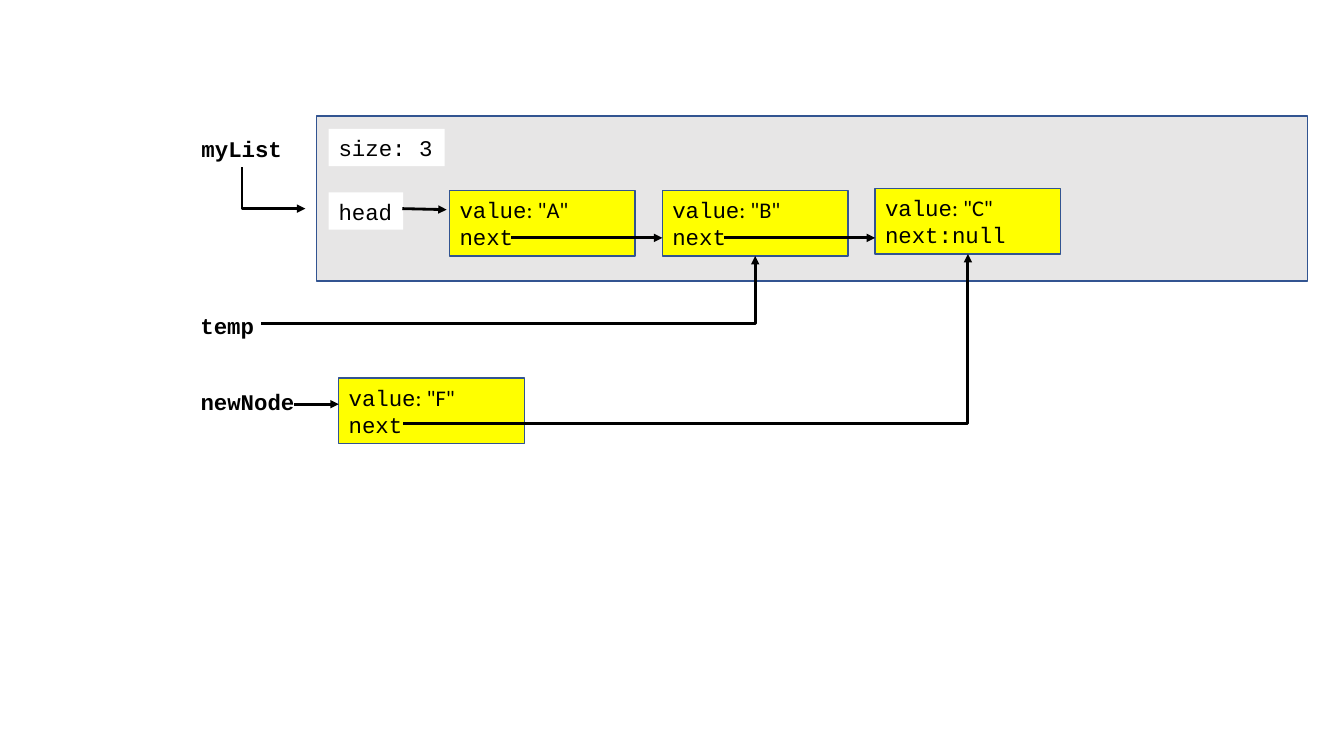
"""Linked list diagram: three chained nodes, a temp reference and a new node."""
from lxml import etree
from pptx import Presentation
from pptx.dml.color import RGBColor
from pptx.enum.shapes import MSO_CONNECTOR, MSO_SHAPE
from pptx.enum.text import MSO_ANCHOR, PP_ALIGN
from pptx.oxml.ns import qn
from pptx.util import Inches, Pt

RECT = MSO_SHAPE.RECTANGLE
STRAIGHT, ELBOW = MSO_CONNECTOR.STRAIGHT, MSO_CONNECTOR.ELBOW
MIDDLE, LEFT = MSO_ANCHOR.MIDDLE, PP_ALIGN.LEFT

COLORS = {"list": "E7E6E6", "border": "325491", "field": "FFFFFF",
          "node": "FFFF00", "ink": "000000"}
CODE_FONT, VALUE_FONT = "Courier New", "Calibri"
TEXT_SIZE = 16

SLIDE_W, SLIDE_H = 13.33, 7.5
LIST_BOX = (3.14, 1.15, 9.83, 1.64)
NODE_W, NODE_H = 1.84, 0.65
NODE_LEFT, NODE_TOP, NODE_PITCH = 4.46, 1.89, 2.11
NEXT_X, NEXT_Y = 0.61, 0.47
LABEL_H = 0.37

CHAIN = [("A", "next", 0), ("B", "next", 0), ("C", "next:null", -0.02)]
NEW_NODE = ("F", "next", 3.36, 3.75)
LABELS = [
    ("myList", 1.9, 1.29, 1.01, True, None),
    ("size: 3", 3.26, 1.28, 1.15, False, "field"),
    ("head", 3.26, 1.91, 0.74, False, "field"),
    ("temp", 1.89, 3.04, 0.74, True, "field"),
    ("newNode", 1.89, 3.8, 1.15, True, "field"),
]

prs = Presentation()
prs.slide_width, prs.slide_height = Inches(SLIDE_W), Inches(SLIDE_H)
slide = prs.slides.add_slide(prs.slide_layouts[6])


def color(name):
    return RGBColor.from_string(COLORS[name])


def add_box(bounds, fill, border=None):
    box = slide.shapes.add_shape(RECT, *map(Inches, bounds))
    box.shadow.inherit = False
    if fill:
        box.fill.solid()
        box.fill.fore_color.rgb = color(fill)
    else:
        box.fill.background()
    if border:
        box.line.color.rgb = color(border)
        box.line.width = Pt(1)
    else:
        box.line.fill.background()
    return box


def style(paragraph, bold=False):
    paragraph.alignment = LEFT
    font = paragraph.font
    font.name, font.size, font.bold = CODE_FONT, Pt(TEXT_SIZE), bold
    font.color.rgb = color("ink")


def add_label(text, left, top, width, bold, fill):
    frame = add_box((left, top, width, LABEL_H), fill).text_frame
    frame.word_wrap = False
    frame.text = text
    style(frame.paragraphs[0], bold)


def add_node(value, link, left, top):
    frame = add_box((left, top, NODE_W, NODE_H), "node", "border").text_frame
    frame.word_wrap = True
    frame.vertical_anchor = MIDDLE
    value_line, next_line = frame.paragraphs[0], frame.add_paragraph()
    value_line.add_run().text = "value"
    quoted = value_line.add_run()
    quoted.text = f': "{value}"'
    quoted.font.name = VALUE_FONT
    next_line.text = link
    for paragraph in (value_line, next_line):
        style(paragraph)


def add_arrow(start, end, kind=STRAIGHT):
    arrow = slide.shapes.add_connector(kind, *map(Inches, start + end))
    arrow.line.color.rgb = color("ink")
    arrow.line.width = Pt(2)
    line = arrow.line._get_or_add_ln()
    etree.SubElement(line, qn("a:tailEnd"), type="triangle")
    properties = arrow._element.spPr
    etree.SubElement(properties, qn("a:effectLst"))
    return properties


def add_bent_arrow(start, end, vertical_first=False):
    if vertical_first:
        (x1, y1), (x2, y2) = start, end
        mid_x, mid_y = (x1 + x2) / 2, (y1 + y2) / 2
        half_w, half_h = (y2 - y1) / 2, (x2 - x1) / 2
        start = (mid_x + half_w, mid_y - half_h)
        end = (mid_x - half_w, mid_y + half_h)
    properties = add_arrow(start, end, ELBOW)
    properties.find(qn("a:prstGeom")).set("prst", "bentConnector2")
    if vertical_first:
        properties.find(qn("a:xfrm")).set("rot", str(270 * 60000))


add_box(LIST_BOX, "list", "border")
for label in LABELS:
    add_label(*label)

node_spots = [(NODE_LEFT + i * NODE_PITCH, NODE_TOP + shift)
              for i, (_, _, shift) in enumerate(CHAIN)]
for (value, link, _), spot in zip(CHAIN, node_spots):
    add_node(value, link, *spot)
add_node(*NEW_NODE)

for left, top in node_spots[:-1]:
    add_arrow((left + NEXT_X, top + NEXT_Y), (left + NODE_PITCH, top + NEXT_Y))
add_arrow((3.99, 2.07), (4.43, 2.08))
add_arrow((2.92, 4.01), (NEW_NODE[2], 4.01))

below_b, below_c = [(left + NODE_W / 2, top + NODE_H)
                    for left, top in node_spots[1:]]
add_bent_arrow((2.4, 1.66), (3.03, 2.07), vertical_first=True)
add_bent_arrow((2.59, 3.21), below_b)
add_bent_arrow((4, 4.2), below_c)

prs.save("out.pptx")
